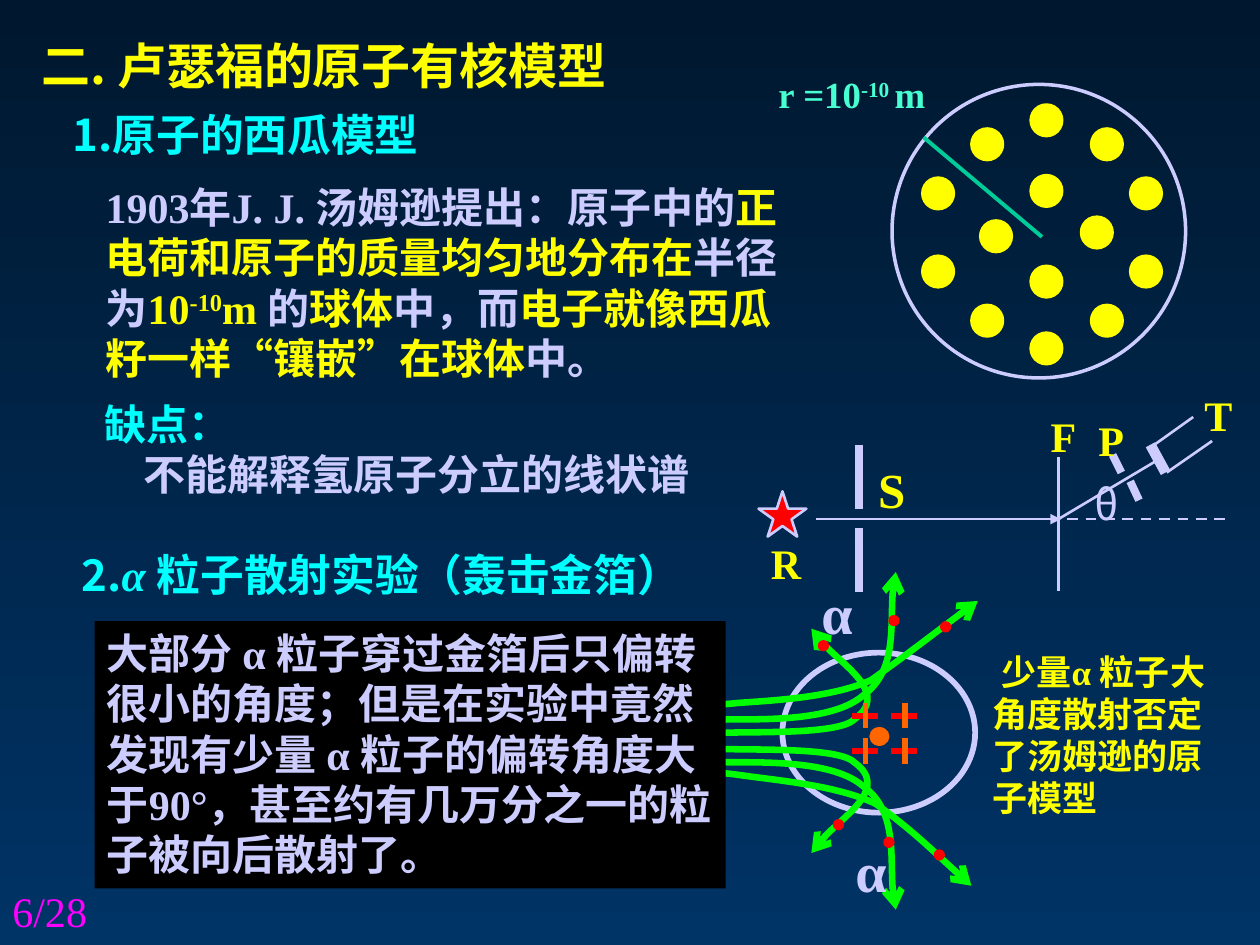
from dataclasses import dataclass
from typing import NamedTuple, Optional

from lxml import etree
from pptx import Presentation
from pptx import util as u
from pptx.dml.color import RGBColor
from pptx.enum import dml, shapes, text
from pptx.oxml.ns import qn


@dataclass(frozen=True)
class Theme:
    top: str = "00182F"
    bottom: str = "003366"
    yellow: str = "FFFF00"
    cyan: str = "00FFFF"
    pale: str = "CCCCFF"
    red: str = "FF0000"
    orange: str = "FF6600"
    green: str = "00FF00"
    teal: str = "00CC99"
    mint: str = "47FFD1"
    magenta: str = "FF00FF"
    black: str = "000000"
    serif: str = "Times New Roman"
    sans: str = "Noto Sans CJK SC"
    title: int = 28
    heading: int = 25
    body: int = 24
    radius: int = 21
    note: int = 20
    alpha: int = 32


T = Theme()


class Run(NamedTuple):
    words: str
    color: str = T.pale
    size: int = T.body
    font: str = T.serif
    bold: bool = True
    italic: bool = False
    raised: bool = False


class Pen(NamedTuple):
    color: str = T.pale
    width: float = 1.5
    dashed: bool = False
    arrow: Optional[str] = None


def rgb(value: str) -> RGBColor:
    return RGBColor.from_string(value)


def apply_pen(sp, pen: Pen) -> None:
    sp.line.color.rgb = rgb(pen.color)
    sp.line.width = u.Pt(pen.width)
    if pen.dashed:
        sp.line.dash_style = dml.MSO_LINE.DASH
    if pen.arrow:
        ln = sp._element.spPr.find(qn("a:ln"))
        etree.SubElement(ln, qn("a:tailEnd"), type=pen.arrow)


def draw_line(parent, start: tuple, end: tuple, pen: Pen = Pen()) -> None:
    sp = parent.add_connector(shapes.MSO_CONNECTOR.STRAIGHT,
                              *(u.Inches(n) for n in (*start, *end)))
    apply_pen(sp, pen)
    etree.SubElement(sp._element.spPr, qn("a:effectLst"))


def draw_shape(parent, kind, box: tuple, fill: Optional[str] = None,
               pen: Optional[Pen] = None):
    sp = parent.add_shape(kind, *(u.Inches(n) for n in box))
    sp.shadow.inherit = False
    if fill:
        sp.fill.solid()
        sp.fill.fore_color.rgb = rgb(fill)
    else:
        sp.fill.background()
    if pen:
        apply_pen(sp, pen)
    else:
        sp.line.fill.background()
    return sp


def draw_curve(parent, points: list, pen: Pen) -> None:
    """Points are a start followed by three Bezier points per segment."""
    emu = [(u.Inches(x), u.Inches(y)) for x, y in points]
    builder = parent.build_freeform(*emu[0], scale=1.0)
    builder.add_line_segments(emu[1:], close=False)
    sp = builder.convert_to_shape()
    sp.shadow.inherit = False
    sp.fill.background()
    apply_pen(sp, pen)
    steps = list(sp._element.iter(qn("a:lnTo")))
    for i in range(0, len(steps), 3):
        bezier = etree.Element(qn("a:cubicBezTo"))
        steps[i].addprevious(bezier)
        for step in steps[i:i + 3]:
            bezier.append(step[0])
            step.getparent().remove(step)


def write(sp, paragraphs: list, wrap: bool = True, indent: float = 0,
          anchor=text.MSO_ANCHOR.TOP, grow: bool = True) -> None:
    """The indent goes to the first line of the last paragraph."""
    tf = sp.text_frame
    size = text.MSO_AUTO_SIZE.SHAPE_TO_FIT_TEXT if grow else text.MSO_AUTO_SIZE.NONE
    for key, value in {"word_wrap": wrap, "vertical_anchor": anchor,
                       "auto_size": size}.items():
        setattr(tf, key, value)
    for i, runs in enumerate(paragraphs):
        p = tf.add_paragraph() if i else tf.paragraphs[0]
        p.alignment = text.PP_ALIGN.LEFT
        for run in runs:
            r = p.add_run()
            r.text = run.words
            for key, value in {"name": run.font, "size": u.Pt(run.size),
                               "bold": run.bold, "italic": run.italic}.items():
                setattr(r.font, key, value)
            r.font.color.rgb = rgb(run.color)
            rpr = r.font._element
            ea = etree.Element(qn("a:ea"), typeface=T.sans)
            rpr.find(qn("a:latin")).addnext(ea)
            if run.raised:
                rpr.set("baseline", "30000")
    if indent:
        p._p.get_or_add_pPr().set("indent", str(u.Inches(indent)))


def draw_text(parent, box: tuple, *paragraphs: list, **options) -> None:
    write(parent.add_textbox(*(u.Inches(n) for n in box)), list(paragraphs), **options)


def draw_headings(s) -> None:
    draw_text(s, (0.23, 0.23, 6.08, 0.57),
              [Run("二. 卢瑟福的原子有核模型", T.yellow, T.title, T.sans)],
              anchor=text.MSO_ANCHOR.MIDDLE, grow=False)
    draw_text(s, (0.74, 1.39, 5.58, 1.72), [
        Run("1903年J. J. 汤姆逊提出：原子中的"),
        Run("正电荷和原子的质量均匀地分布在", T.yellow), Run("半径为"),
        Run("10", T.yellow), Run("-10", T.yellow, raised=True), Run("m ", T.yellow),
        Run("的"), Run("球体", T.yellow), Run("中，而"),
        Run("电子就像西瓜籽一样“镶嵌”在球体", T.yellow), Run("中。")])
    draw_text(s, (0.48, 0.81, 5.15, 0.52),
              [Run("1.原子的西瓜模型", T.cyan, T.heading, T.sans)])


def draw_melon_atom(s) -> None:
    draw_shape(s, OVAL, (7.08, 0.67, 2.33, 2.33), pen=Pen(width=2))
    electrons = [(x, y) for x in (7.71, 8.66) for y in (1.02, 2.42)]
    electrons += [(x, y) for x in (7.32, 8.97) for y in (1.41, 2.03)]
    electrons += [(8.18, y) for y in (0.83, 1.39, 2.11, 2.64)]
    electrons += [(7.78, 1.75), (8.58, 1.72)]
    for x, y in electrons:
        draw_shape(s, OVAL, (x, y, 0.25, 0.25), T.yellow, Pen(T.yellow))


def draw_apparatus(s) -> None:
    lines = [
        ((6.82, 3.53), (6.82, 4.04), Pen(width=4.5)),
        ((6.82, 4.19), (6.82, 4.7), Pen(width=4.5)),
        ((8.4, 3.63), (8.4, 4.69), Pen()),
        ((6.48, 4.12), (8.42, 4.12), Pen(arrow="triangle")),
        ((8.47, 4.12), (9.76, 4.12), Pen(dashed=True)),
        ((8.4, 4.12), (9.19, 3.65), Pen()),
        ((8.83, 3.61), (8.9, 3.75), Pen(width=4.5)),
        ((8.97, 3.82), (9.04, 3.97), Pen(width=4.5)),
        ((9.26, 3.75), (9.62, 3.5), Pen()),
        ((9.12, 3.56), (9.47, 3.31), Pen()),
        ((9.13, 3.53), (9.25, 3.75), Pen(width=6)),
    ]
    draw_shape(s, shapes.MSO_SHAPE.STAR_5_POINT, (6.02, 3.9, 0.38, 0.36), T.red, Pen())
    for start, end, pen in lines:
        draw_line(s, start, end, pen)
    for box, run in [
        ((6.02, 4.22, 0.44, 0.5), Run("R", T.yellow)),
        ((6.87, 3.6, 0.42, 0.57), Run("S", T.yellow, T.title)),
        ((8.24, 3.21, 0.4, 0.5), Run("F", T.yellow)),
        ((8.62, 3.24, 0.4, 0.5), Run("P", T.yellow)),
        ((9.46, 3.04, 0.42, 0.5), Run("T", T.yellow)),
        ((8.59, 3.75, 0.53, 0.5), Run("θ", font=T.sans, bold=False)),
    ]:
        draw_text(s, box, [run], wrap=False)


def draw_scattering(s) -> None:
    draw_shape(s, OVAL, (6.21, 5.18, 1.53, 1.27), pen=Pen(width=3.25))
    # Alpha tracks: the two steepest are mirrored about the nucleus
    back = [(5.33, 5.83), (5.39, 5.83), (5.41, 5.84), (5.65, 5.82), (5.89, 5.8),
            (6.65, 5.84), (6.78, 5.71), (7.06, 5.51), (6.51, 5.14), (6.44, 4.99)]
    steep = [(5.35, 5.71), (5.42, 5.71), (5.52, 5.74), (5.77, 5.71), (6.09, 5.71),
             (6.62, 5.72), (6.85, 5.52), (7.12, 5.33), (7.05, 4.74), (7.11, 4.54)]
    upper = [(5.27, 5.58), (5.37, 5.58), (5.58, 5.61), (5.85, 5.58), (6.12, 5.56),
             (6.59, 5.54), (6.91, 5.4), (7.18, 5.21), (7.58, 4.9), (7.76, 4.77)]
    lower = [(5.3, 6.14), (5.4, 6.15), (5.59, 6.11), (5.86, 6.15), (6.13, 6.19),
             (6.64, 6.23), (6.95, 6.38), (7.22, 6.57), (7.55, 6.89), (7.71, 7.03)]
    mirrored = [[(x, 11.76 - y) for x, y in track] for track in (back, steep)]
    for track in (back, steep, upper, *mirrored, lower):
        draw_curve(s, track, Pen(T.green, 3.75, arrow="arrow"))
    # Nucleus with four positive charges
    draw_shape(s, OVAL, (6.9, 5.77, 0.16, 0.15), T.orange)
    for x in (6.87, 7.18):
        for y in (5.68, 5.96):
            draw_line(s, (x - 0.11, y), (x + 0.1, y), Pen(T.red, 3.25))
            draw_line(s, (x, y - 0.1), (x, y + 0.1), Pen(T.orange, 3.25))
    for x, y in [(6.69, 6.59), (6.42, 4.54)]:
        draw_text(s, (x, y, 0.48, 0.63), [Run("α", size=T.alpha)], wrap=False)
    for x, y in [(7.05, 4.88), (7.01, 6.64), (7.46, 4.93),
                 (6.49, 5.08), (6.61, 6.5), (7.41, 6.74)]:
        draw_shape(s, OVAL, (x, y, 0.09, 0.09), T.red)


OVAL = shapes.MSO_SHAPE.OVAL


def main() -> None:
    prs = Presentation()
    prs.slide_width, prs.slide_height = u.Inches(10), u.Inches(7.5)
    slide = prs.slides.add_slide(prs.slide_layouts[6])
    s = slide.shapes
    # Background
    fill = slide.background.fill
    fill.gradient()
    fill.gradient_angle = 270
    for stop, color, at in zip(fill.gradient_stops, (T.top, T.bottom), (0, 1)):
        stop.color.rgb, stop.position = rgb(color), at
    # Melon model and its weakness
    draw_headings(s)
    draw_melon_atom(s)
    draw_text(s, (0.73, 3.11, 5.68, 0.91), [Run("缺点：", T.cyan)],
              [Run("不能解释氢原子分立的线状谱")], indent=0.31)
    # Scattering experiment
    draw_text(s, (0.55, 4.3, 5.86, 0.52), [
        Run("2.", T.cyan, T.heading, T.sans),
        Run("α ", T.cyan, T.heading, italic=True),
        Run("粒子散射实验（轰击金箔）", T.cyan, T.heading, T.sans)])
    draw_apparatus(s.add_group_shape().shapes)
    draw_text(s, (7.78, 5.11, 2.06, 1.45),
              [Run("少量α 粒子大角度散射否定了汤姆逊的原子模型", T.yellow, T.note)],
              indent=0.07)
    draw_scattering(s.add_group_shape().shapes)
    result = draw_shape(s, shapes.MSO_SHAPE.RECTANGLE, (0.75, 4.93, 5.01, 2.12), T.black)
    write(result, [[Run("大部分 α 粒子穿过金箔后只偏转很小的角度；但是在实验中竟然发现有少量 α "
                        "粒子的偏转角度大于90°，甚至约有几万分之一的粒子被向后散射了。")]])
    # Atom radius and page number
    draw_line(s, (8.27, 1.88), (7.33, 1.09), Pen(T.teal, 2.25))
    draw_text(s, (6.08, 0.52, 1.42, 0.45), [
        Run("r =10", T.mint, T.radius), Run("-10 ", T.mint, T.radius, raised=True),
        Run("m", T.mint, T.radius)], wrap=False)
    draw_text(s, (0, 6.98, 2.33, 0.52), [Run("6/28", T.magenta, bold=False)], grow=False)
    prs.save("out.pptx")


if __name__ == "__main__":
    main()
